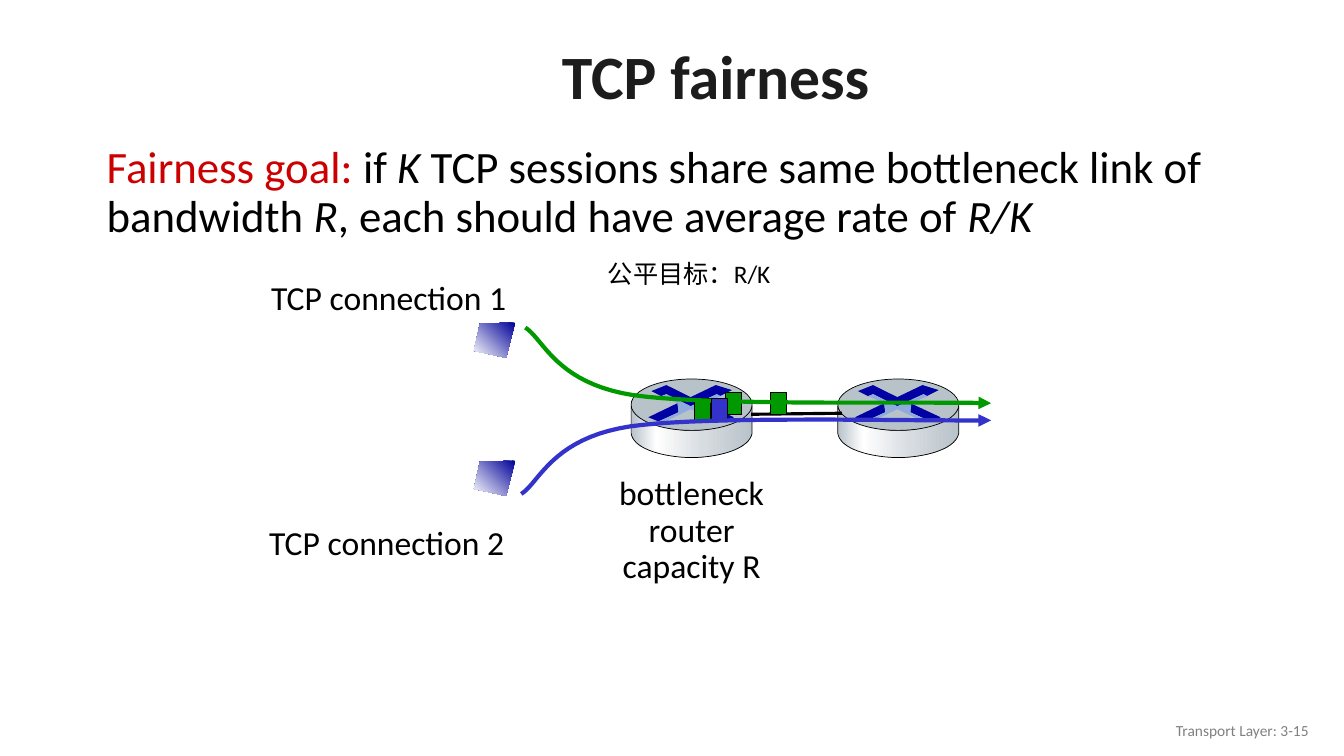
from lxml import etree
from pptx import Presentation
from pptx import util as u
from pptx.dml import color
from pptx.enum import shapes, text
from pptx.oxml import ns

COLORS = {
    "ink": "000000", "title": "1C1C1C", "goal": "CC0000", "footer": "808080",
    "green": "009900", "blue": "3333CC", "host": "000099", "white": "FFFFFF",
    "steel": "B8C2C9", "silver": "D6DCE0", "navy": "0000A3", "sky": "8FAADC",
}
BODY_STOPS = [(0, "steel"), (21, "white"), (60, "silver"), (100, "steel")]
HOST_STOPS = [(0, "host"), (100, "white")]
ROUTER_BODY = [
    (1.2, 0.27), (1.2, 0.54), (1.16, 0.72, 0.8, 0.78, 0.6, 0.78),
    (0.4, 0.78, 0.03, 0.72, 0, 0.54), (0, 0.27),
    (0.05, 0.43, 0.39, 0.51, 0.59, 0.51), (0.79, 0.51, 1.14, 0.45, 1.2, 0.27),
]
ROUTER_MARKS = [
    ("navy", [(0.84, 0.06), (1, 0.11), (0.88, 0.17), (0.85, 0.15), (0.59, 0.27), (0.35, 0.15),
              (0.3, 0.17), (0.2, 0.12), (0.35, 0.06), (0.59, 0.18)]),
    ("navy", [(0.72, 0.24), (1.02, 0.38), (0.92, 0.42), (0.72, 0.33)]),
    ("navy", [(0.46, 0.24), (0.47, 0.33), (0.27, 0.42), (0.17, 0.38)]),
    ("sky", [(0.3, 0.17), (0.35, 0.15), (0.59, 0.27), (0.85, 0.15), (0.89, 0.17), (0.73, 0.24),
             (0.72, 0.33), (0.91, 0.42), (0.86, 0.43), (0.59, 0.3), (0.32, 0.43), (0.28, 0.42),
             (0.47, 0.33), (0.46, 0.24)]),
]
HOST = [(0.41, 0), (0.06, 0.01), (0, 0.28), (0.32, 0.35)]
GREEN_FLOW = [(5.21, 3.25), (5.39, 3.36, 5.51, 3.8, 6.28, 3.92), (7.05, 4.03, 9.1, 3.98, 9.83, 4)]
BLUE_FLOW = [(5.17, 4.9), (5.35, 4.79, 5.47, 4.35, 6.25, 4.23), (7.02, 4.12, 9.09, 4.18, 9.83, 4.17)]


def rgb(name):
    """Return the named colour."""
    return color.RGBColor.from_string(COLORS[name])


def style(shape, fill=None, line=None, width=0.5):
    """Set a shape's fill and line and remove its shadow."""
    shape.shadow.inherit = False
    for part, name in ((shape.fill, fill), (shape.line.fill, line)):
        if name:
            part.solid()
            part.fore_color.rgb = rgb(name)
        else:
            part.background()
    if line:
        shape.line.width = u.Pt(width)


def gradient(shape, stops, angle):
    """Give a shape a linear gradient of several stops."""
    shape.fill.gradient()
    fill = shape._element.spPr.find(ns.qn("a:gradFill"))
    for child in list(fill):
        fill.remove(child)
    stop_list = etree.SubElement(fill, ns.qn("a:gsLst"))
    for position, name in stops:
        stop = etree.SubElement(stop_list, ns.qn("a:gs"), pos=str(position * 1000))
        etree.SubElement(stop, ns.qn("a:srgbClr"), val=COLORS[name])
    etree.SubElement(fill, ns.qn("a:lin"), ang=str(angle * 60000), scaled="0")


def flatten(steps, count=20):
    """Turn line and cubic curve steps into a list of points."""
    points = [steps[0]]
    for step in steps[1:]:
        if len(step) == 2:
            points.append(step)
            continue
        controls = [points[-1], step[:2], step[2:4], step[4:]]
        for index in range(1, count + 1):
            t = index / count
            weights = ((1 - t) ** 3, 3 * t * (1 - t) ** 2, 3 * t * t * (1 - t), t ** 3)
            points.append(tuple(sum(w * c[axis] for w, c in zip(weights, controls)) for axis in (0, 1)))
    return points


def add_outline(parent, steps, left=0, top=0, close=True):
    """Draw a freeform whose steps are offset by left and top."""
    points = [(u.Inches(left + x), u.Inches(top + y)) for x, y in flatten(steps)]
    builder = parent.shapes.build_freeform(*points[0])
    builder.add_line_segments(points[1:], close=close)
    return builder.convert_to_shape()


def add_preset(parent, kind, box, fill, width):
    """Draw a filled preset shape with a black line."""
    shape = parent.shapes.add_shape(kind, *map(u.Inches, box))
    style(shape, fill, "ink", width)


def add_router(slide, left, top):
    """Draw a grouped router with its crossed marks."""
    router = slide.shapes.add_group_shape()
    body = add_outline(router, ROUTER_BODY, left, top)
    style(body, line="ink")
    gradient(body, BODY_STOPS, 0)
    add_preset(router, shapes.MSO_SHAPE.OVAL, (left, top, 1.2, 0.51), "steel", 0.5)
    for name, steps in ROUTER_MARKS:
        style(add_outline(router, steps, left, top), name)


def add_host(slide, left, top):
    """Draw a host screen."""
    host = add_outline(slide, HOST, left, top)
    style(host)
    gradient(host, HOST_STOPS, 135)


def add_packet(slide, left, top, name):
    """Draw a packet."""
    add_preset(slide, shapes.MSO_SHAPE.RECTANGLE, (left, top, 0.16, 0.22), name, 0.75)


def add_flow(slide, steps, name):
    """Draw a curved flow that ends in an arrowhead."""
    flow = add_outline(slide, steps, close=False)
    style(flow, line=name, width=3)
    etree.SubElement(flow.line._get_or_add_ln(), ns.qn("a:tailEnd"), type="triangle")


def add_link(slide):
    """Draw the link between the routers."""
    ends = map(u.Inches, (7.45, 4.11, 8.35, 4.1))
    link = slide.shapes.add_connector(shapes.MSO_CONNECTOR.STRAIGHT, *ends)
    link.line.color.rgb = rgb("ink")
    link.line.width = u.Pt(2.25)
    etree.SubElement(link._element.spPr, ns.qn("a:effectLst"))


def add_text(slide, box, lines, size, name="ink", wrap=True, anchor="TOP", **formats):
    """Write lines of (text, font formats) runs in a text box."""
    frame = slide.shapes.add_textbox(*map(u.Inches, box)).text_frame
    frame.word_wrap = wrap
    frame.vertical_anchor = getattr(text.MSO_ANCHOR, anchor)
    for index, runs in enumerate(lines):
        paragraph = frame.add_paragraph() if index else frame.paragraphs[0]
        for key, value in formats.items():
            setattr(paragraph, key, value)
        for content, font_formats in runs:
            run = paragraph.add_run()
            run.text = content
            values = {"name": "Calibri", "size": u.Pt(size), **font_formats}
            run.font.color.rgb = rgb(values.pop("color", name))
            for key, value in values.items():
                setattr(run.font, key, value)


def main():
    """Build the slide."""
    presentation = Presentation()
    presentation.slide_width, presentation.slide_height = u.Inches(13.33), u.Inches(7.5)
    slide = presentation.slides.add_slide(presentation.slide_layouts[6])
    center, right = text.PP_ALIGN.CENTER, text.PP_ALIGN.RIGHT
    italic = {"italic": True}

    for left in (8.31, 6.26):
        add_router(slide, left, 3.76)
    add_text(slide, (0.87, 0.3, 12.46, 0.98), [[("TCP fairness", {"bold": True})]], 44, "title",
             anchor="MIDDLE", alignment=center, line_spacing=0.9)
    goal = [("Fairness goal:", {"color": "goal"}), (" if", {}), (" K ", italic),
            ("TCP sessions share same bottleneck link of bandwidth ", {}), ("R", italic),
            (", each should have average rate of ", {}), ("R/K", italic)]
    add_text(slide, (0.96, 1.39, 11.13, 1.19), [goal], 32, line_spacing=0.9)
    add_link(slide)
    for left, top in ((7.64, 3.89), (6.89, 3.95), (7.2, 3.89)):
        add_packet(slide, left, top, "green")
    for number, left, top in ((1, 2.59, 2.7), (2, 2.57, 5.13)):
        add_text(slide, (left, top, 2.56, 0.5), [[(f"TCP connection {number}", {})]], 24, wrap=False)
    capacity = [[(line, {})] for line in ("bottleneck", "router", "capacity R")]
    add_text(slide, (6.03, 4.68, 1.66, 1.19), capacity, 24, wrap=False,
             alignment=center, line_spacing=0.9)
    add_flow(slide, GREEN_FLOW, "green")
    add_packet(slide, 7.06, 3.95, "blue")
    add_flow(slide, BLUE_FLOW, "blue")
    for top in (3.2, 4.57):
        add_host(slide, 4.7, top)
    add_text(slide, (10.08, 7.05, 3, 0.4), [[("Transport Layer: 3-15", {})]], 11, "footer",
             anchor="MIDDLE", alignment=right)
    add_text(slide, (5.93, 2.51, 5.79, 0.4), [[("公平目标：R/K", {})]], 18)
    presentation.save("out.pptx")


if __name__ == "__main__":
    main()
